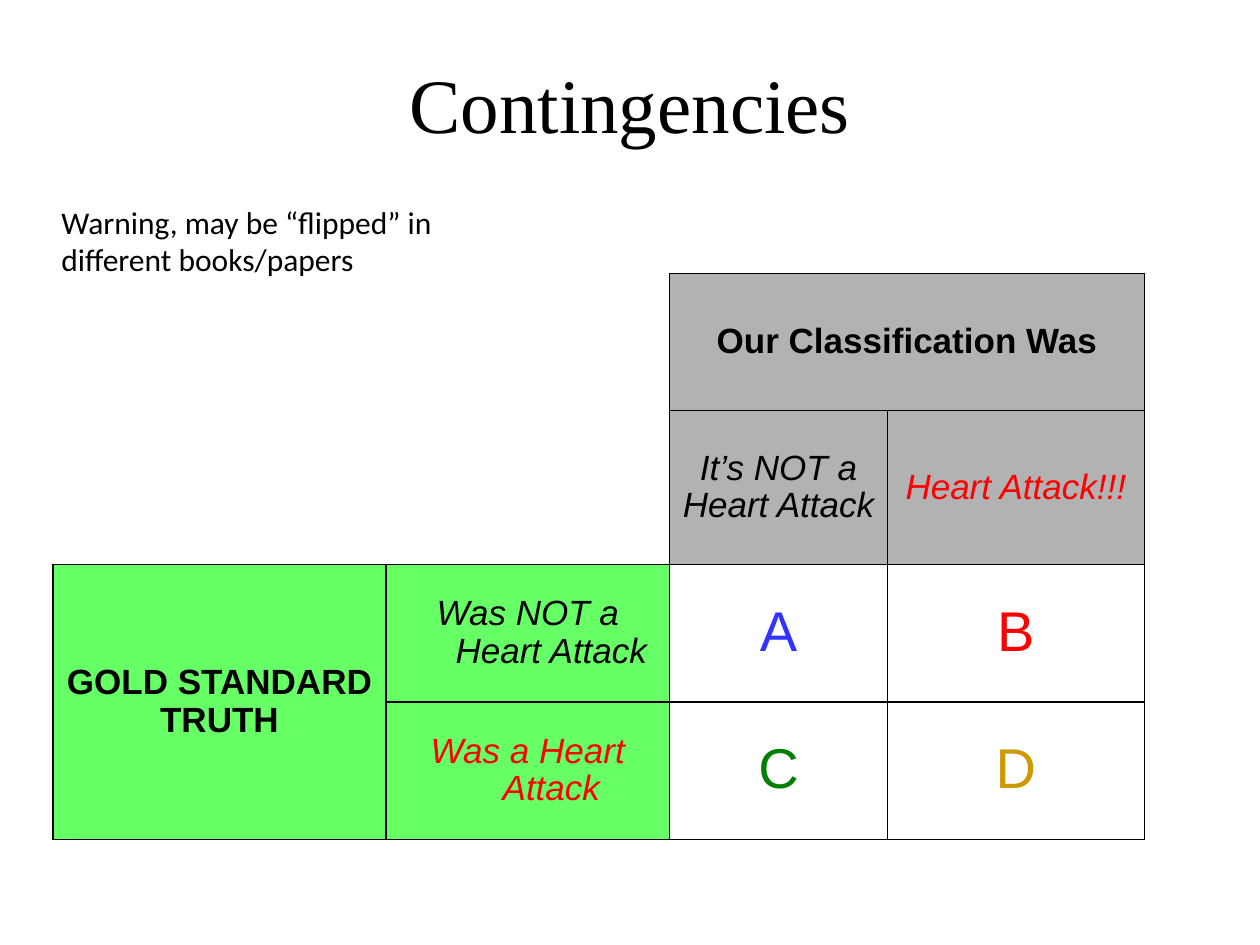
import pptx
import pptx.dml.color
import pptx.enum.text
import pptx.oxml
import pptx.oxml.ns
import pptx.util
from pptx.util import Cm

COLOURS = {
    "black": "000000",
    "grey": "B2B2B2",
    "green": "66FF66",
    "red": "FF0000",
    "blue": "3333FF",
    "dark green": "008000",
    "gold": "CC9900",
}
COLUMN_WIDTHS = [6.71, 5.72, 4.39, 5.18]
ROW_HEIGHTS = [2.77, 3.1, 2.77, 2.77]
CORNER = (0, 0, 1, 1)
MERGES = [CORNER, (0, 2, 0, 3), (2, 0, 3, 0)]

HEADING = {"size": 20, "bold": True}
OUTCOME = {"size": 20, "italic": True}
LETTER = {"size": 32}
# Row, column, lines, colour, font style
CELLS = [
    (0, 2, ["Our Classification Was"], "black", HEADING),
    (1, 2, ["It’s NOT a", "Heart Attack"], "black", OUTCOME),
    (1, 3, ["Heart Attack!!!"], "red", OUTCOME),
    (2, 0, ["GOLD STANDARD", "TRUTH"], "black", HEADING),
    (2, 1, ["Was NOT a Heart Attack"], "black", OUTCOME),
    (3, 1, ["Was a Heart Attack"], "red", OUTCOME),
    (2, 2, ["A"], "blue", LETTER),
    (2, 3, ["B"], "red", LETTER),
    (3, 2, ["C"], "dark green", LETTER),
    (3, 3, ["D"], "gold", LETTER),
]


def rgb(name):
    return pptx.dml.color.RGBColor.from_string(COLOURS[name])


class SlideBuilder:
    def __init__(self, slide):
        self.slide = slide
        self.centre = pptx.enum.text.PP_ALIGN.CENTER
        self.middle = pptx.enum.text.MSO_ANCHOR.MIDDLE

    def set_font(self, paragraph, name, size, colour="black", bold=False, italic=False):
        font = paragraph.font
        font.name, font.size = name, pptx.util.Pt(size)
        font.bold, font.italic = bold, italic
        font.color.rgb = rgb(colour)

    def title(self, text, left, top, width, height):
        shape = self.slide.shapes.title
        shape.left, shape.top, shape.width, shape.height = left, top, width, height
        shape.text_frame.text = text
        shape.text_frame.vertical_anchor = self.middle
        paragraph = shape.text_frame.paragraphs[0]
        paragraph.alignment = self.centre
        self.set_font(paragraph, "Times New Roman", 44)

    def note(self, text, left, top, width, height):
        frame = self.slide.shapes.add_textbox(left, top, width, height).text_frame
        frame.word_wrap = True
        frame.auto_size = pptx.enum.text.MSO_AUTO_SIZE.SHAPE_TO_FIT_TEXT
        frame.text = text
        self.set_font(frame.paragraphs[0], "Calibri", 18)

    def borders(self, cell, visible_sides):
        properties = cell._tc.get_or_add_tcPr()
        for side in "LRTB":
            paint = "<a:noFill/>"
            if side in visible_sides:
                paint = f'<a:solidFill><a:srgbClr val="{COLOURS["black"]}"/></a:solidFill>'
            properties.append(pptx.oxml.parse_xml(
                f'<a:ln{side} {pptx.oxml.ns.nsdecls("a")} w="12700">{paint}</a:ln{side}>'))

    def cell_text(self, cell, lines, colour, style):
        cell.vertical_anchor = self.middle
        cell.text_frame.text = "\n".join(lines)
        for paragraph in cell.text_frame.paragraphs:
            paragraph.alignment = self.centre
            paragraph.line_spacing = 0.97
            properties = paragraph._p.get_or_add_pPr()
            indent = Cm(0.95)
            properties.set("marL", str(indent))
            properties.set("indent", str(-indent))
            self.set_font(paragraph, "Arial", colour=colour, **style)

    def contingency_table(self, left, top):
        table = self.slide.shapes.add_table(
            len(ROW_HEIGHTS), len(COLUMN_WIDTHS), left, top,
            Cm(sum(COLUMN_WIDTHS)), Cm(sum(ROW_HEIGHTS))).table
        table.first_row = table.horz_banding = False
        for column, width in zip(table.columns, COLUMN_WIDTHS):
            column.width = Cm(width)
        for row, height in zip(table.rows, ROW_HEIGHTS):
            row.height = Cm(height)

        for row in range(len(ROW_HEIGHTS)):
            for column in range(len(COLUMN_WIDTHS)):
                cell = table.cell(row, column)
                is_header, is_stub = row < 2, column < 2
                self.borders(cell, "RB" if is_header and is_stub else "LRTB")
                if is_header == is_stub:
                    cell.fill.background()
                else:
                    cell.fill.solid()
                    cell.fill.fore_color.rgb = rgb("grey" if is_header else "green")

        for first_row, first_column, last_row, last_column in MERGES:
            table.cell(first_row, first_column).merge(table.cell(last_row, last_column))
        for row, column, lines, colour, style in CELLS:
            self.cell_text(table.cell(row, column), lines, colour, style)


def main():
    presentation = pptx.Presentation()
    presentation.slide_width, presentation.slide_height = Cm(25.4), Cm(19.05)
    title_only = presentation.slide_layouts[5]
    builder = SlideBuilder(presentation.slides.add_slide(title_only))
    builder.title("Contingencies", Cm(1.27), Cm(0.48), Cm(22.86), Cm(3.18))
    builder.contingency_table(Cm(1.07), Cm(5.51))
    builder.note("Warning, may be “flipped” in different books/papers",
                 Cm(0.99), Cm(3.96), Cm(8.61), Cm(1.8))
    presentation.save("out.pptx")


if __name__ == "__main__":
    main()
